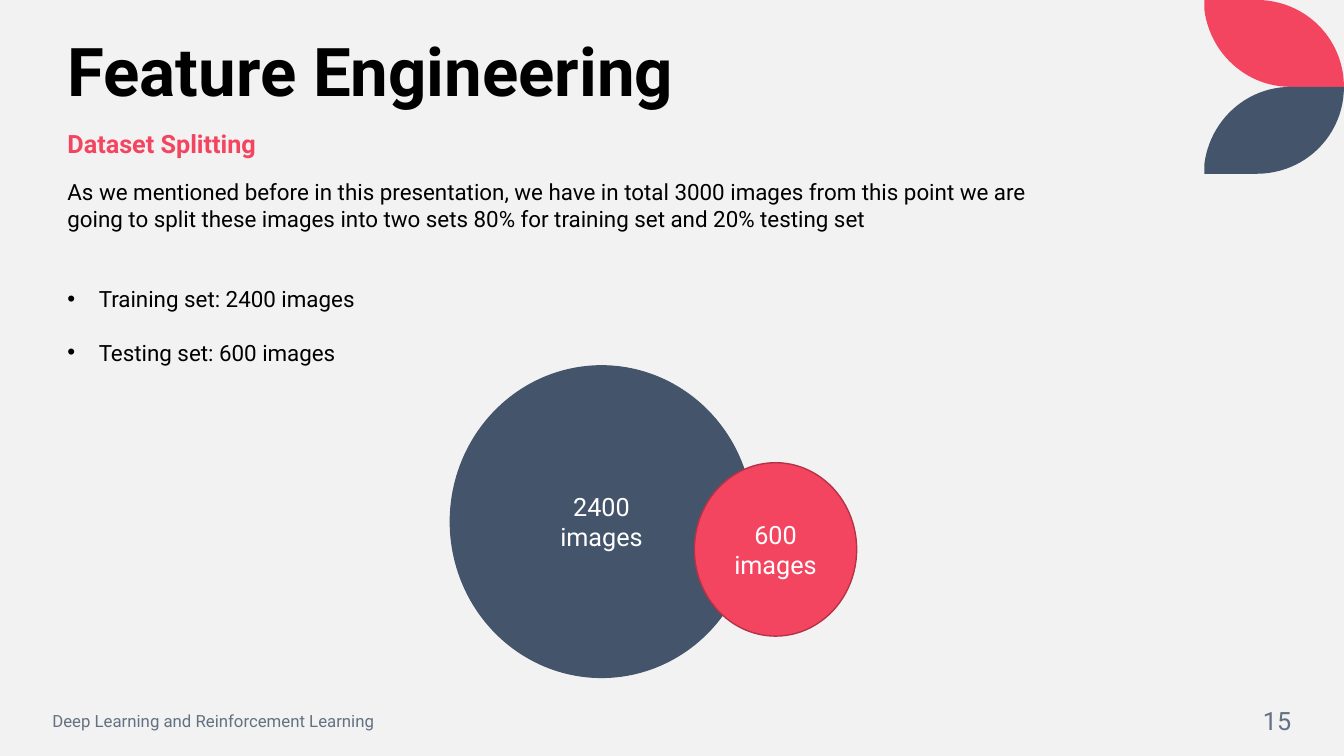
"""Build the dataset splitting slide."""
from lxml.etree import SubElement
from pptx import Presentation
from pptx.dml.color import RGBColor
from pptx.enum.shapes import MSO_SHAPE as Shape
from pptx.enum.text import MSO_ANCHOR as Anchor, PP_ALIGN as Align
from pptx.oxml.ns import qn
from pptx.util import Cm, Pt

CORAL = RGBColor(0xF4, 0x45, 0x60)
DARK_CORAL = RGBColor(0xB5, 0x33, 0x47)
NAVY = RGBColor(0x44, 0x54, 0x6A)
GREY = RGBColor(0x63, 0x71, 0x83)
BLACK = RGBColor(0, 0, 0)
WHITE = RGBColor(0xFF, 0xFF, 0xFF)
PAPER = RGBColor(0xF2, 0xF2, 0xF2)
FONT = "Roboto"
BLANK_LAYOUT = 6


def fill_text(frame, lines, size, color, align=Align.LEFT, bold=False, spacing=None):
    """Write the lines as paragraphs of one style."""
    frame.word_wrap = True
    for index, line in enumerate(lines):
        paragraph = frame.add_paragraph() if index else frame.paragraphs[0]
        paragraph.text = line
        paragraph.alignment = align
        paragraph.line_spacing = spacing
        font = paragraph.font
        font.name, font.size, font.bold = FONT, Pt(size), bold
        font.color.rgb = color


def add_text(slide, box, lines, size, color, anchor=Anchor.TOP, **style):
    """Add a text box at the box and return its frame."""
    frame = slide.shapes.add_textbox(*map(Cm, box)).text_frame
    frame.vertical_anchor = anchor
    fill_text(frame, lines, size, color, **style)
    return frame


def curve(start, first, second, end, steps=24):
    """Return points along a cubic Bezier curve."""
    points = []
    for step in range(steps + 1):
        t = step / steps
        weights = ((1 - t) ** 3, 3 * t * (1 - t) ** 2, 3 * t * t * (1 - t), t ** 3)
        controls = (start, first, second, end)
        points.append(tuple(sum(weight * control[axis] for weight, control in zip(weights, controls))
                            for axis in (0, 1)))
    return points


def add_leaves(slide, box):
    """Draw a leaf and its mirror image, one above the other."""
    left, top, width, height = box
    leaf = height / 2
    outline = [(0, 0)]
    outline += curve((1.32, 0), (2.54, 0), (width, 0.97), (width, leaf))
    outline += curve((2.18, leaf), (1.04, leaf), (0.13, 1.32), (0, 0.23))
    mirrored = [(x, height - y) for x, y in outline]
    for points, color in ((outline, CORAL), (mirrored, NAVY)):
        corners = [(Cm(left + x), Cm(top + y)) for x, y in points]
        builder = slide.shapes.build_freeform(*corners[0], scale=1.0)
        builder.add_line_segments(corners[1:], close=True)
        shape = builder.convert_to_shape()
        shape.shadow.inherit = False
        shape.fill.solid()
        shape.fill.fore_color.rgb = color
        shape.line.fill.background()


def add_header(slide, box):
    """Place the title with the subtitle under it."""
    left, top, width, height = box
    add_text(slide, (left, top, width, 2.11), ["Feature Engineering"], 48, BLACK,
             bold=True, spacing=0.9)
    add_text(slide, (left, top + 2.36, width, height - 2.36), ["Dataset Splitting"], 18, CORAL,
             bold=True, spacing=0.9)


def add_body(slide, box):
    """Place the introduction and the bulleted sets."""
    lines = [
        "As we mentioned before in this presentation, we have in total 3000 images from this "
        "point we are going to split these images into two sets 80% for training set and "
        "20% testing set",
        "Training set: 2400 images",
        "Testing set: 600 images",
    ]
    frame = add_text(slide, box, lines, 16, BLACK, align=Align.JUSTIFY)
    for paragraph, gap in zip(frame.paragraphs[1:], (38, 19)):
        paragraph.space_before = Pt(gap)
        properties = paragraph._p.get_or_add_pPr()
        properties.set("marL", str(Cm(0.79)))
        properties.set("indent", str(-Cm(0.79)))
        SubElement(properties, qn("a:buFont")).set("typeface", "Arial")
        SubElement(properties, qn("a:buChar")).set("char", "•")


def add_circle(slide, box, lines, color, border):
    """Add one labelled circle."""
    circle = slide.shapes.add_shape(Shape.OVAL, *map(Cm, box))
    circle.shadow.inherit = False
    circle.fill.solid()
    circle.fill.fore_color.rgb = color
    circle.line.color.rgb = border
    circle.line.width = Pt(1)
    circle.text_frame.vertical_anchor = Anchor.MIDDLE
    fill_text(circle.text_frame, lines, 18, WHITE, align=Align.CENTER)


def add_split(slide, box):
    """Draw the training circle overlapped by the testing circle."""
    left, top, width, height = box
    add_circle(slide, (left, top, 7.62, height), ["2400", "images"], NAVY, NAVY)
    add_circle(slide, (left + width - 4.09, top + 2.44, 4.09, 4.37), ["600 images"],
               CORAL, DARK_CORAL)


def add_footer(slide, box):
    """Place the course name at the left and the page number at the right."""
    left, top, width, height = box
    add_text(slide, (left, top, 10.57, height), ["Deep Learning and Reinforcement Learning"],
             12, GREY, Anchor.MIDDLE)
    add_text(slide, (left + width - 4.6, top, 4.6, height), ["15"], 18, GREY, Anchor.MIDDLE,
             align=Align.RIGHT)


def main():
    """Build and save the presentation."""
    presentation = Presentation()
    presentation.slide_width, presentation.slide_height = Cm(33.87), Cm(19.05)
    slide = presentation.slides.add_slide(presentation.slide_layouts[BLANK_LAYOUT])
    slide.background.fill.solid()
    slide.background.fill.fore_color.rgb = PAPER
    add_leaves(slide, (30.35, 0, 3.52, 4.38))
    add_header(slide, (1.45, 0.84, 21.34, 3.3))
    add_body(slide, (1.45, 4.37, 24.66, 9.4))
    add_split(slide, (11.35, 9.22, 10.24, 7.85))
    add_footer(slide, (1.07, 17.65, 31.72, 1.02))
    presentation.save("out.pptx")


if __name__ == "__main__":
    main()
